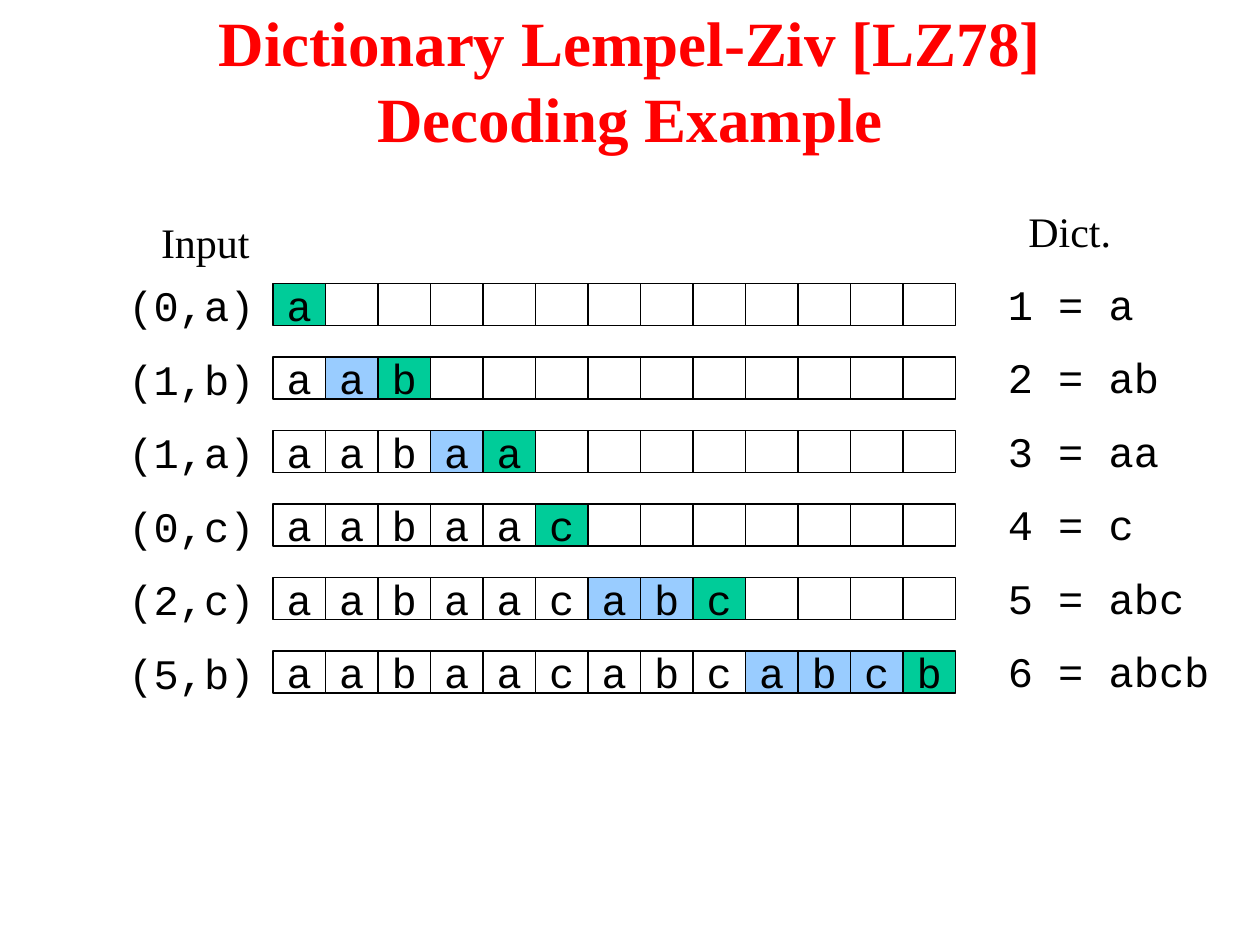
from dataclasses import dataclass

from pptx import Presentation
from pptx import util as u
from pptx.dml.color import RGBColor
from pptx.enum import shapes, text


@dataclass(frozen=True)
class Theme:
    ink: RGBColor = RGBColor(0x00, 0x00, 0x00)
    title: RGBColor = RGBColor(0xFF, 0x00, 0x00)
    plain: RGBColor = RGBColor(0xFF, 0xFF, 0xFF)
    match: RGBColor = RGBColor(0x99, 0xCC, 0xFF)
    new: RGBColor = RGBColor(0x00, 0xCC, 0x99)
    serif: str = "Times New Roman"
    mono: str = "Courier New"
    body_size: int = 24
    title_size: int = 36
    line_width: float = 0.75


THEME = Theme()
CENTER = text.PP_ALIGN.CENTER
LEFT = text.PP_ALIGN.LEFT
MIDDLE = text.MSO_ANCHOR.MIDDLE

# Each step reads a dictionary index and the next symbol
TOKENS = [(0, "a"), (1, "b"), (1, "a"), (0, "c"), (2, "c"), (5, "b")]
CELLS = 13
CELL_W, CELL_H = 5 / 12, 1 / 3
CELLS_LEFT, CELLS_TOP, ROW_PITCH = 13 / 6, 2.25, 7 / 12
LABEL_H, CHAR_W = 0.5, 0.2


def write(tf, lines, align=CENTER, **formats):
    """Fill a text frame with one paragraph per line."""
    font = {"name": THEME.mono, "size": u.Pt(THEME.body_size), "bold": False}
    color = formats.pop("color", THEME.ink)
    font.update(formats)
    for i, line in enumerate(lines):
        p = tf.paragraphs[0] if i == 0 else tf.add_paragraph()
        p.alignment = align
        r = p.add_run()
        r.text = line
        for name, value in font.items():
            setattr(r.font, name, value)
        r.font.color.rgb = color


def add_label(slide, left, top, width, label, align=CENTER, **formats):
    sp = slide.shapes.add_textbox(
        u.Inches(left), u.Inches(top), u.Inches(width), u.Inches(LABEL_H))
    tf = sp.text_frame
    tf.word_wrap = False
    tf.auto_size = text.MSO_AUTO_SIZE.SHAPE_TO_FIT_TEXT
    write(tf, [label], align, **formats)


def add_title(slide, lines):
    sp = slide.shapes.add_textbox(
        u.Inches(0.75), u.Inches(0.17), u.Inches(8.5), u.Inches(0.92))
    tf = sp.text_frame
    tf.word_wrap = True
    tf.vertical_anchor = MIDDLE
    write(tf, lines, name=THEME.serif, size=u.Pt(THEME.title_size),
          bold=True, color=THEME.title)


def add_cell(group, left, top, symbol, fill):
    sp = group.shapes.add_shape(
        shapes.MSO_SHAPE.RECTANGLE, u.Inches(left), u.Inches(top),
        u.Inches(CELL_W), u.Inches(CELL_H))
    sp.shadow.inherit = False
    sp.fill.solid()
    sp.fill.fore_color.rgb = fill
    sp.line.color.rgb = THEME.ink
    sp.line.width = u.Pt(THEME.line_width)
    if symbol:
        tf = sp.text_frame
        tf.word_wrap = False
        tf.vertical_anchor = MIDDLE
        write(tf, [symbol])


def add_message(slide, top, decoded, entry):
    """Draw the decoded symbols, marking the latest entry at their end."""
    group = slide.shapes.add_group_shape()
    last = len(decoded) - 1
    first_match = len(decoded) - len(entry)
    for i in range(CELLS):
        if i == last:
            fill = THEME.new
        elif first_match <= i < last:
            fill = THEME.match
        else:
            fill = THEME.plain
        add_cell(group, CELLS_LEFT + i * CELL_W, top, decoded[i:i + 1], fill)


def add_steps(slide):
    """Decode the tokens, one row for each."""
    entries, decoded = [""], ""
    for row, (index, symbol) in enumerate(TOKENS):
        top = CELLS_TOP + row * ROW_PITCH
        entry = entries[index] + symbol
        entries.append(entry)
        decoded += entry
        add_message(slide, top, decoded, entry)
        add_label(slide, 0.92, top - 0.08, 1.2, f"({index},{symbol})")
        definition = f"{row + 1} = {entry}"
        add_label(slide, 7.9, top - 0.09, CHAR_W * (len(definition) + 1),
                  definition, LEFT)


def main():
    prs = Presentation()
    prs.slide_width, prs.slide_height = u.Inches(10), u.Inches(7.5)
    slide = prs.slides.add_slide(prs.slide_layouts[6])

    # Decoding rows
    add_steps(slide)

    # Column headings, with a little room to spare
    add_label(slide, 1.16, 1.67, 0.94, "Input", name=THEME.serif)
    add_label(slide, 8.04, 1.58, 0.9, "Dict.", name=THEME.serif)

    # Title
    add_title(slide, ["Dictionary Lempel-Ziv [LZ78]", "Decoding Example"])

    prs.save("out.pptx")


if __name__ == "__main__":
    main()
